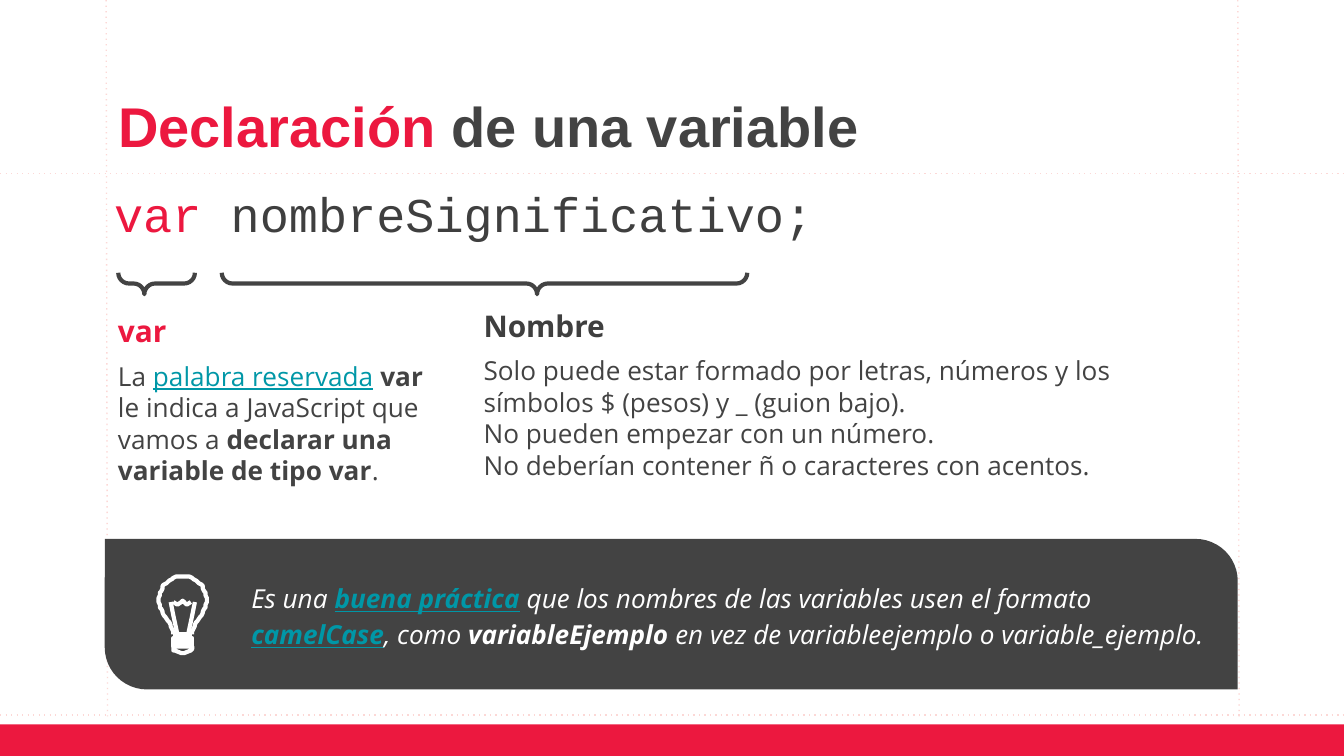
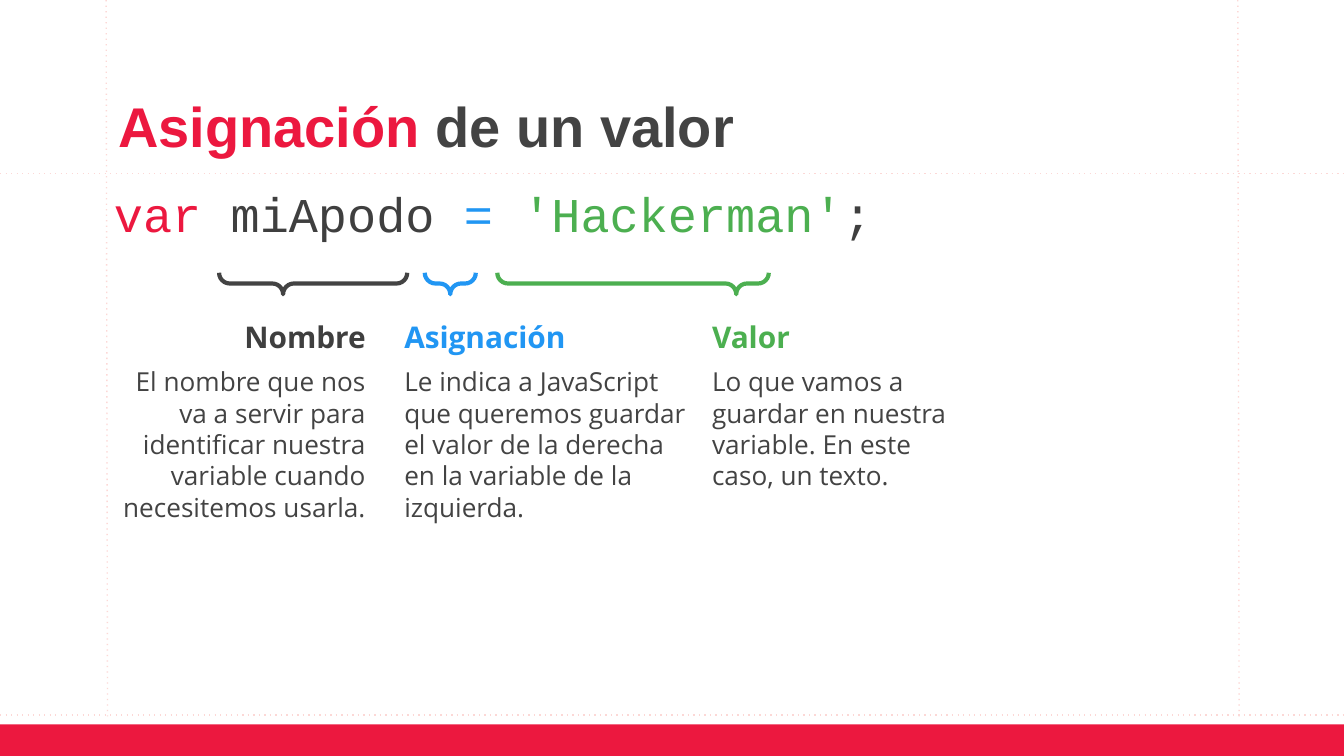
from dataclasses import dataclass

from lxml.etree import SubElement
from pptx import Presentation
from pptx.dml.color import RGBColor
from pptx.enum.dml import MSO_LINE
from pptx.enum.shapes import MSO_CONNECTOR, MSO_SHAPE
from pptx.enum.text import MSO_ANCHOR, MSO_AUTO_SIZE, PP_ALIGN
from pptx.oxml.ns import qn
from pptx.util import Inches, Pt


@dataclass(frozen=True)
class Theme:
    red: str = "EC183F"
    dark: str = "434343"
    code_dark: str = "3F3F3F"
    blue: str = "2196F3"
    green: str = "4CAF50"
    link: str = "0097A7"
    guide: str = "FCD8D6"
    white: str = "FFFFFF"
    title_font: str = "Arial"
    body_font: str = "Open Sans"
    code_font: str = "Courier New"
    title_size: int = 30
    code_size: int = 26
    heading_size: int = 16
    body_size: int = 14
    inset: float = 0.1
    stroke: float = 2.25


T = Theme()
WIDTH = 10
HEIGHT = WIDTH * 9 / 16
LEFT, RIGHT = 0.78, 9.21
BAND_TOP = 5.39
BRACE_TOP, BRACE_DEPTH = 2.03, 0.16
TITLE_TOP, TITLE_HEIGHT = 0.6, 0.69

# Bulb outlines in hundredths of an inch, from the top centre of the glass
GLASS_RIGHT = [(7, 43), (7, 41), (8, 39), (9, 37), (9, 36), (10, 34), (11, 33),
               (13, 30), (14, 29), (15, 27), (15, 26), (16, 24), (17, 23),
               (17, 21), (18, 19), (18, 16), (17, 14), (17, 12), (16, 11),
               (15, 9), (15, 7), (14, 6), (12, 5), (11, 4), (10, 3), (8, 2),
               (7, 1), (5, 0), (2, 0)]
FILAMENT = [(-4, 43), (-7, 29), (-9, 19)]
COIL = [(-7, 19), (-4, 21), (-1, 19), (0, 18), (1, 19), (3, 21), (6, 19)]
CAP = [(-7, 52), (-7, 55), (-6, 55), (-1, 57), (1, 57), (6, 55), (7, 54), (7, 52)]


def rgb(color):
    return RGBColor.from_string(color)


def box(x, y, w, h):
    return Inches(x), Inches(y), Inches(w), Inches(h)


def add_run(p, text, font, size, color, bold=False, italic=False, underline=False):
    r = p.add_run()
    r.text = text
    f = r.font
    f.name, f.size, f.color.rgb = font, Pt(size), rgb(color)
    f.bold, f.italic, f.underline = bold, italic, underline


def setup_frame(tf, anchor=MSO_ANCHOR.TOP):
    tf.word_wrap = True
    tf.auto_size = MSO_AUTO_SIZE.NONE
    tf.vertical_anchor = anchor
    tf.margin_left = tf.margin_right = Inches(T.inset)
    tf.margin_top = tf.margin_bottom = Inches(T.inset)
    return tf


def add_text_box(s, x, y, w, h):
    return setup_frame(s.shapes.add_textbox(*box(x, y, w, h)).text_frame)


def add_filled(s, kind, x, y, w, h, color):
    sp = s.shapes.add_shape(kind, *box(x, y, w, h))
    sp.shadow.inherit = False
    sp.fill.solid()
    sp.fill.fore_color.rgb = rgb(color)
    sp.line.fill.background()
    return sp


def add_line(shapes, x1, y1, x2, y2, color, width):
    ln = shapes.add_connector(MSO_CONNECTOR.STRAIGHT, Inches(x1), Inches(y1),
                              Inches(x2), Inches(y2))
    ln.line.color.rgb = rgb(color)
    ln.line.width = Pt(width)
    SubElement(ln._element.spPr, qn("a:effectLst"))
    return ln


def outline(sp, color):
    sp.shadow.inherit = False
    sp.fill.background()
    sp.line.color.rgb = rgb(color)
    sp.line.width = Pt(T.stroke)
    SubElement(sp._element.spPr.find(qn("a:ln")), qn("a:round"))


def add_frame(s):
    """Dotted guides and the red footer band."""
    guides = [(x, 0, x + 0.01, 5.33) for x in (0.79, RIGHT)]
    guides += [(0, y, WIDTH, y) for y in (1.29, 5.32)]
    for ends in guides:
        ln = add_line(s.shapes, *ends, T.guide, 0.75)
        ln.line.dash_style = MSO_LINE.ROUND_DOT
        ln._element.spPr.find(".//" + qn("a:prstDash")).set("val", "dot")
    add_filled(s, MSO_SHAPE.RECTANGLE, 0, BAND_TOP, WIDTH, HEIGHT - BAND_TOP, T.red)


def add_title(s, accent, rest, w):
    title = s.shapes.title
    title.left, title.top, title.width, title.height = box(LEFT, TITLE_TOP, w, TITLE_HEIGHT)
    p = setup_frame(title.text_frame, MSO_ANCHOR.BOTTOM).paragraphs[0]
    p.alignment = PP_ALIGN.LEFT
    p.line_spacing = 0.9
    for text, color in ((accent, T.red), (rest, T.dark)):
        add_run(p, text, T.title_font, T.title_size, color, bold=True)


def add_code(s, w, parts):
    p = add_text_box(s, 0.75, 1.27, w, 1.09).paragraphs[0]
    p.space_before = Pt(6)
    for text, color in parts:
        add_run(p, text, T.code_font, T.code_size, color)


def add_brace(s, x, w, tip, color):
    """Brace under the code from x to x + w; tip is measured from its right end."""
    sp = s.shapes.add_shape(
        MSO_SHAPE.RIGHT_BRACE,
        *box(x + (w - BRACE_DEPTH) / 2, BRACE_TOP + (BRACE_DEPTH - w) / 2, BRACE_DEPTH, w))
    sp.rotation = 90
    sp.adjustments[0], sp.adjustments[1] = 0.5, tip
    outline(sp, color)


def add_note(s, bounds, heading, color, lines, align=PP_ALIGN.LEFT, spacing=None):
    """Heading over body text; each line is a list of (text, style) runs."""
    tf = add_text_box(s, *bounds)
    head, body = tf.paragraphs[0], tf.add_paragraph()
    for p in (head, body):
        p.alignment = align
        p.space_before = Pt(6)
    head.line_spacing = spacing
    add_run(head, heading, T.body_font, T.heading_size, color, bold=True)
    for i, line in enumerate(lines):
        if i:
            body.add_line_break()
        for text, style in line:
            add_run(body, text, T.body_font, T.body_size, **{"color": T.dark, **style})


def add_bulb(s, cx, top):
    shapes = s.shapes.add_group_shape().shapes

    def mirror(points):
        return [(-x, y) for x, y in reversed(points)]

    def trace(points, close=False):
        fb = shapes.build_freeform(*points[0], scale=Inches(0.01))
        fb.add_line_segments(points[1:], close=close)
        outline(fb.convert_to_shape(Inches(cx), Inches(top)), T.white)

    for y in (49, 46):
        trace([(7, y + 3), (7, y), (-7, y), (-7, y + 3)], close=True)
    trace(CAP, close=True)
    for points in (FILAMENT, GLASS_RIGHT + mirror(GLASS_RIGHT), mirror(FILAMENT), COIL):
        trace(points)
    add_line(shapes, cx - 0.07, top + 0.43, cx + 0.07, top + 0.43, T.white, T.stroke)


def add_tip(s, x, y, w, h, runs):
    sp = add_filled(s, MSO_SHAPE.ROUND_2_DIAG_RECTANGLE, x, y, w, h, T.dark)
    sp.adjustments[0], sp.adjustments[1] = 0, 0.28
    p = setup_frame(sp.text_frame, MSO_ANCHOR.MIDDLE).paragraphs[0]
    p.alignment = PP_ALIGN.LEFT
    p.line_spacing = 1.15
    pPr = p._p.get_or_add_pPr()
    pPr.set("marL", str(Inches(0.9)))
    pPr.set("indent", "0")
    for text, style in runs:
        add_run(p, text, T.body_font, T.body_size, italic=True,
                **{"color": T.white, **style})
    add_bulb(s, x + 0.58, y + 0.28)


def new_slide(prs, accent, rest, title_width):
    s = prs.slides.add_slide(prs.slide_layouts[5])
    add_frame(s)
    add_title(s, accent, rest, title_width)
    return s


def declaration_slide(prs):
    s = new_slide(prs, "Declaración", " de una variable", 5.96)
    bold = {"bold": True}
    link = {"color": T.link, "underline": True}
    add_note(s, (LEFT, 2.19, 2.5, 1.99), "var", T.red, [[
        ("La ", {}), ("palabra reservada", link), (" ", {}), ("var", bold),
        (" le indica a JavaScript que vamos a ", {}),
        ("declarar una variable de tipo var", bold), (".", {})]], spacing=1.15)
    rules = ["Solo puede estar formado por letras, números y los símbolos "
             "$ (pesos) y _ (guion bajo).",
             "No pueden empezar con un número.",
             "No deberían contener ñ o caracteres con acentos."]
    add_note(s, (3.5, 2.19, 5.72, 1.99), "Nombre", T.code_dark,
             [[(rule, {})] for rule in rules])
    add_code(s, 6.02, [("var ", T.red), ("nombreSignificativo;", T.code_dark)])
    add_tip(s, LEFT, 4.01, RIGHT - LEFT, 1.12, [
        ("Es una ", {}), ("buena práctica", {**link, **bold}),
        (" que los nombres de las variables usen el formato ", {}),
        ("camelCase", {**link, **bold}), (", como ", {}), ("variableEjemplo", bold),
        (" en vez de variableejemplo o variable_ejemplo.", {})])
    add_brace(s, 1.65, 3.91, 0.4, T.dark)
    add_brace(s, 0.88, 0.57, 0.66, T.dark)


def assignment_slide(prs):
    s = new_slide(prs, "Asignación", " de un valor", RIGHT - LEFT)
    add_code(s, 8.46, [("var ", T.red), ("miApodo ", T.code_dark), ("= ", T.blue),
                       ("'Hackerman'", T.green), (";", T.code_dark)])
    for x, w, tip, color in ((3.16, 0.38, 0.5, T.blue), (1.63, 1.4, 0.66, T.dark),
                             (3.7, 2.02, 0.12, T.green)):
        add_brace(s, x, w, tip, color)
    notes = [
        (LEFT, 2.04, "Nombre", T.code_dark, PP_ALIGN.RIGHT,
         "El nombre que nos va a servir para identificar nuestra variable "
         "cuando necesitemos usarla."),
        (2.91, 2.3, "Asignación", T.blue, PP_ALIGN.LEFT,
         "Le indica a JavaScript que queremos guardar el valor de la derecha "
         "en la variable de la izquierda."),
        (5.2, 2.04, "Valor", T.green, PP_ALIGN.LEFT,
         "Lo que vamos a guardar en nuestra variable. En este caso, un texto."),
    ]
    for x, w, heading, color, align, text in notes:
        add_note(s, (x, 2.27, w, 1.82), heading, color, [[(text, {})]], align)


def main():
    prs = Presentation()
    prs.slide_width, prs.slide_height = Inches(WIDTH), Inches(HEIGHT)
    declaration_slide(prs)
    assignment_slide(prs)
    prs.save("out.pptx")


if __name__ == "__main__":
    main()
